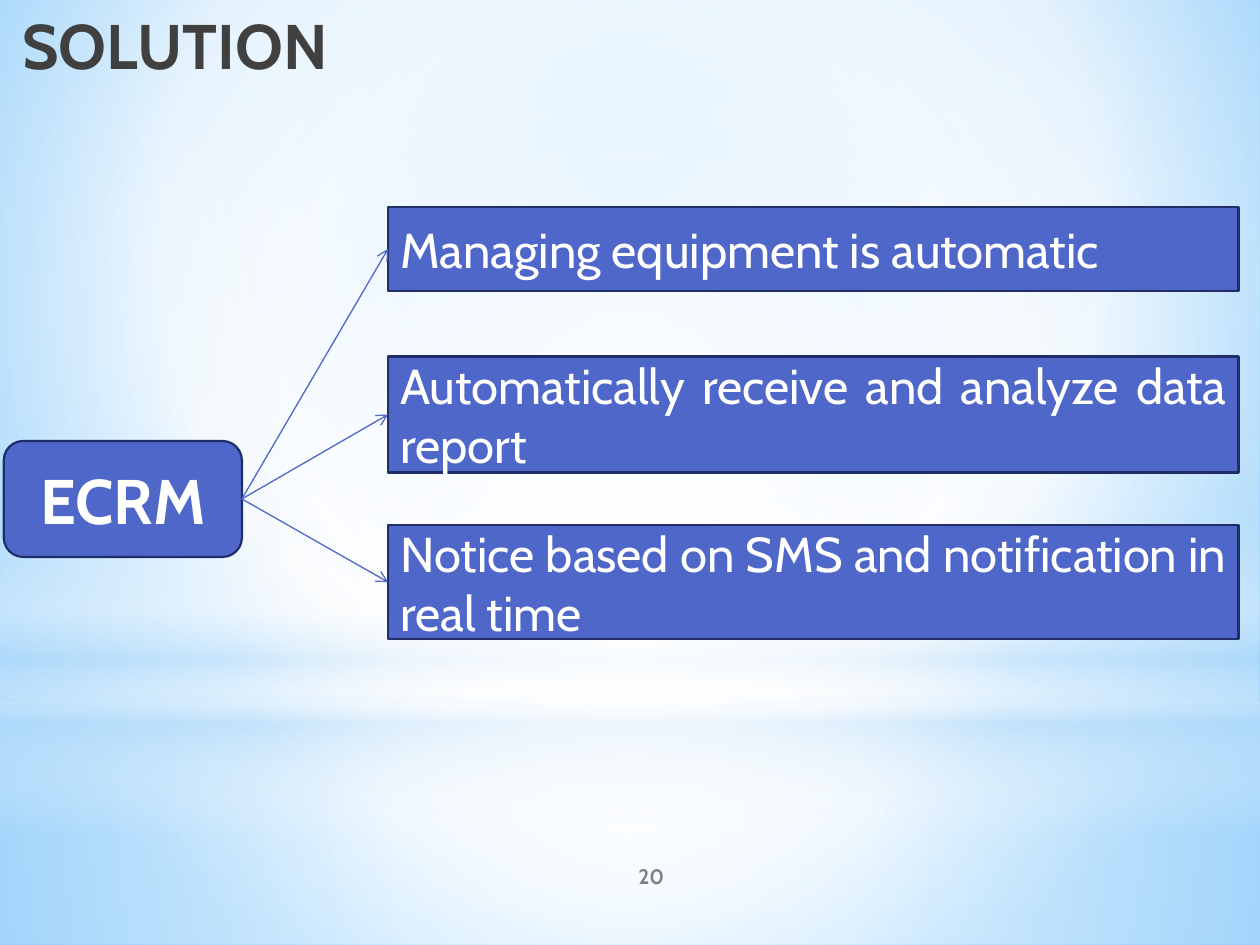
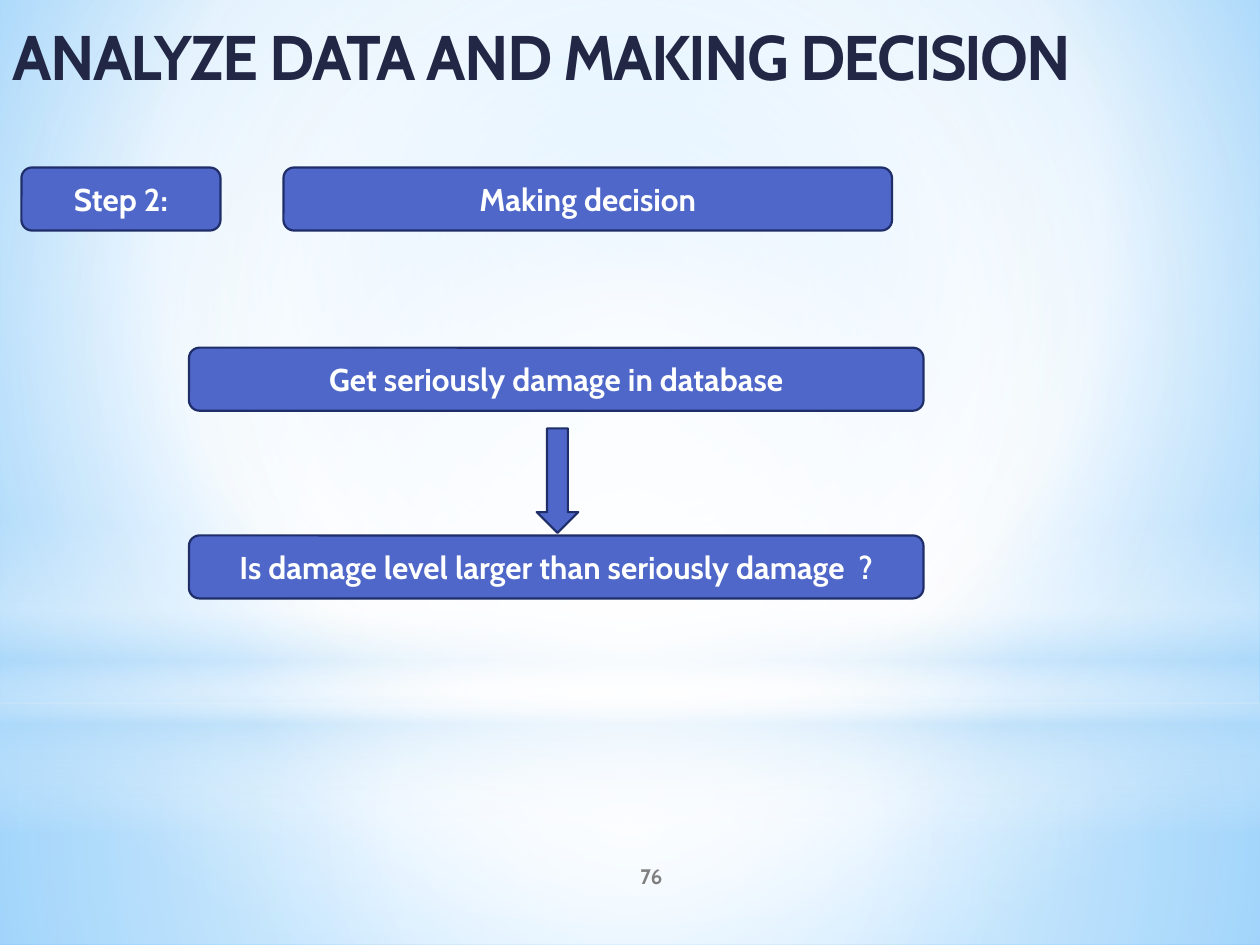
import pptx
import pptx.dml.color
import pptx.enum.shapes
import pptx.enum.text
import pptx.oxml
import pptx.oxml.ns
import pptx.util
from dataclasses import dataclass

Inches = pptx.util.Inches
Pt = pptx.util.Pt
qn = pptx.oxml.ns.qn
SHAPE = pptx.enum.shapes.MSO_SHAPE
ALIGN = pptx.enum.text.PP_ALIGN
ANCHOR = pptx.enum.text.MSO_ANCHOR
RIGHT_SIDE, LEFT_SIDE = 3, 1


@dataclass(frozen=True)
class Theme:
    font: str = "Cabin"
    fill: str = "4E67C8"
    outline: str = "1F2E69"
    light: str = "FFFFFF"
    title_grey: str = "404040"
    title_navy: str = "212745"
    number: str = "808080"
    title_size: int = 36
    item_size: int = 28
    step_size: int = 18
    number_size: int = 12
    outline_width: float = 1.25
    arrow_width: float = 0.75


THEME = Theme()
CENTRE = (50, 50, 50, 50)

# Gradient stops: position, colour, opacity (all percentages but the colour)
BACKGROUND_STOPS = [(0, "9ED5FF", 100), (60, "FFFFFF", 100), (100, "5BB9FF", 100)]
BACKGROUND_FOCUS = (20, 10, 20, 60)
# Backdrop parts: preset, box, stops, focus (None for a vertical gradient)
BACKDROP = [
    (SHAPE.RECTANGLE, (0, 5.58, 10, 1.92),
     [(0, "FFFFFF", 91), (37, "FFFFFF", 76), (100, "B4DCFA", 79)], CENTRE),
    (SHAPE.RECTANGLE, (0, 0, 10, 5.58),
     [(0, "FFFFFF", 89), (48, "FFFFFF", 62), (100, "B4DCFA", 79)], CENTRE),
    (SHAPE.RECTANGLE, (0, 4.12, 10, 2.5),
     [(0, "FFFFFF", 0), (29, "FFFFFF", 30), (45, "B4DCFA", 40),
      (55, "FFFFFF", 26), (65, "B4DCFA", 60), (100, "FFFFFF", 0)], None),
    (SHAPE.OVAL, (0, 1.75, 10, 5.58),
     [(0, "FFFFFF", 100), (56, "FFFFFF", 0)], CENTRE),
]


# Formatting helpers
def color(value):
    return pptx.dml.color.RGBColor.from_string(value)


def set_values(target, values):
    for name, value in values.items():
        setattr(target, name, value)


def inches(box):
    return [Inches(length) for length in box]


def gradient(stops, focus):
    stop_xml = "".join(
        f'<a:gs pos="{position * 1000}"><a:srgbClr val="{rgb}">'
        f'<a:alpha val="{opacity * 1000}"/></a:srgbClr></a:gs>'
        for position, rgb, opacity in stops)
    if focus is None:
        direction = '<a:lin ang="5400000" scaled="0"/>'
    else:
        sides = " ".join(f'{side}="{value * 1000}"' for side, value in zip("ltrb", focus))
        direction = f'<a:path path="circle"><a:fillToRect {sides}/></a:path>'
    return pptx.oxml.parse_xml(
        f'<a:gradFill {pptx.oxml.ns.nsdecls("a")} rotWithShape="1">'
        f"<a:gsLst>{stop_xml}</a:gsLst>{direction}</a:gradFill>")


def write(shape, text, size, rgb, bold=True, alignment=ALIGN.CENTER, anchor=ANCHOR.MIDDLE):
    frame = shape.text_frame
    set_values(frame, {"word_wrap": True, "vertical_anchor": anchor,
                       "auto_size": pptx.enum.text.MSO_AUTO_SIZE.NONE})
    paragraph = frame.paragraphs[0]
    paragraph.alignment = alignment
    run = paragraph.add_run()
    run.text = text
    set_values(run.font, {"name": THEME.font, "size": Pt(size), "bold": bold})
    run.font.color.rgb = color(rgb)
    return run


def add_block(slide, preset, box):
    shape = slide.shapes.add_shape(preset, *inches(box))
    shape.shadow.inherit = False
    shape.fill.solid()
    shape.fill.fore_color.rgb = color(THEME.fill)
    shape.line.color.rgb = color(THEME.outline)
    shape.line.width = Pt(THEME.outline_width)
    return shape


def add_arrow(slide, source, target):
    connector = slide.shapes.add_connector(
        pptx.enum.shapes.MSO_CONNECTOR.STRAIGHT, 0, 0, 0, 0)
    connector.begin_connect(source, RIGHT_SIDE)
    connector.end_connect(target, LEFT_SIDE)
    connector.line.color.rgb = color(THEME.fill)
    connector.line.width = Pt(THEME.arrow_width)
    properties = connector.element.spPr
    head = properties.find(qn("a:ln")).makeelement(qn("a:tailEnd"), {"type": "arrow"})
    properties.find(qn("a:ln")).append(head)
    properties.append(properties.makeelement(qn("a:effectLst"), {}))


# Shared parts
def build_backdrop(master, slide):
    """Draw the backdrop through the slide, then move its parts to the master."""
    master.background.fill.solid()
    background = master.element.find(".//" + qn("p:bgPr"))
    background.replace(background[0], gradient(BACKGROUND_STOPS, BACKGROUND_FOCUS))
    for index, (preset, box, stops, focus) in enumerate(BACKDROP):
        shape = add_block(slide, preset, box)
        shape.line.fill.background()
        properties = shape.element.spPr
        properties.replace(properties.find(qn("a:solidFill")), gradient(stops, focus))
        shape.element.nvSpPr.cNvPr.set("id", str(100 + index))
        master.shapes.element.insert(2 + index, shape.element)


def place_title(slide, box, text, rgb, alignment, anchor):
    title = slide.shapes.title
    set_values(title, dict(zip(("left", "top", "width", "height"), inches(box))))
    return write(title, text, THEME.title_size, rgb, alignment=alignment, anchor=anchor)


def add_slide_number(slide, number):
    label = slide.shapes.add_textbox(*inches((4.17, 6.75, 2, 0.4)))
    write(label, str(number), THEME.number_size, THEME.number)


# Slide regions
def add_benefits(slide, box):
    """A hub at the left, joined to the benefits at the right."""
    left, top, width, _ = box
    hub = add_block(slide, SHAPE.ROUNDED_RECTANGLE, (left, top + 1.86, 1.89, 0.92))
    write(hub, "ECRM", THEME.title_size, THEME.light)
    benefits = [
        ("Managing equipment is automatic", 0, 0.67),
        ("Automatically receive and analyze data report", 1.19, 0.92),
        ("Notice based on SMS and notification in real time", 2.53, 0.9),
    ]
    indent = 3.05
    for text, offset, height in benefits:
        benefit = add_block(slide, SHAPE.RECTANGLE,
                            (left + indent, top + offset, width - indent, height))
        write(benefit, text, THEME.item_size, THEME.light, bold=False,
              alignment=ALIGN.JUSTIFY)
        add_arrow(slide, hub, benefit)


def add_step(slide, box, text):
    step = add_block(slide, SHAPE.ROUNDED_RECTANGLE, box)
    write(step, text, THEME.step_size, THEME.light)


def add_step_header(slide, box):
    left, top, width, height = box
    indent = 2.08
    add_step(slide, (left, top, 1.58, height), "Step 2:")
    add_step(slide, (left + indent, top, width - indent, height), "Making decision")


def add_decision_flow(slide, box):
    left, top, width, height = box
    step_height, arrow_width = 0.5, 0.33
    add_step(slide, (left, top, width, step_height), "Get seriously damage in database")
    add_step(slide, (left, top + height - step_height, width, step_height),
             "Is damage level larger than seriously damage  ?")
    add_block(slide, SHAPE.DOWN_ARROW,
              (left + (width - arrow_width) / 2 + 0.01, top + 0.64, arrow_width, 0.83))


# Slides
def build_solution(slide):
    add_slide_number(slide, 20)
    add_benefits(slide, (0.03, 1.64, 9.8, 3.43))
    place_title(slide, (0.03, 0, 2.67, 0.88), "SOLUTION", THEME.title_grey,
                ALIGN.RIGHT, ANCHOR.TOP)


def build_decision(slide):
    add_slide_number(slide, 76)
    run = place_title(slide, (0, 0, 9.25, 0.88), "ANALYZE DATA AND MAKING DECISION",
                      THEME.title_navy, ALIGN.LEFT, ANCHOR.MIDDLE)
    run.font.element.set("spc", "-100") if hasattr(run.font, "element") else \
        run.text and run._r.get_or_add_rPr().set("spc", "-100")
    add_step_header(slide, (0.17, 1.33, 6.91, 0.5))
    add_decision_flow(slide, (1.5, 2.76, 5.83, 1.99))


def main():
    presentation = pptx.Presentation()
    set_values(presentation, {"slide_width": Inches(10), "slide_height": Inches(7.5)})
    title_only = presentation.slide_layouts[5]
    solution, decision = [presentation.slides.add_slide(title_only) for _ in range(2)]
    build_backdrop(presentation.slide_master, solution)
    build_solution(solution)
    build_decision(decision)
    presentation.save("out.pptx")


if __name__ == "__main__":
    main()
